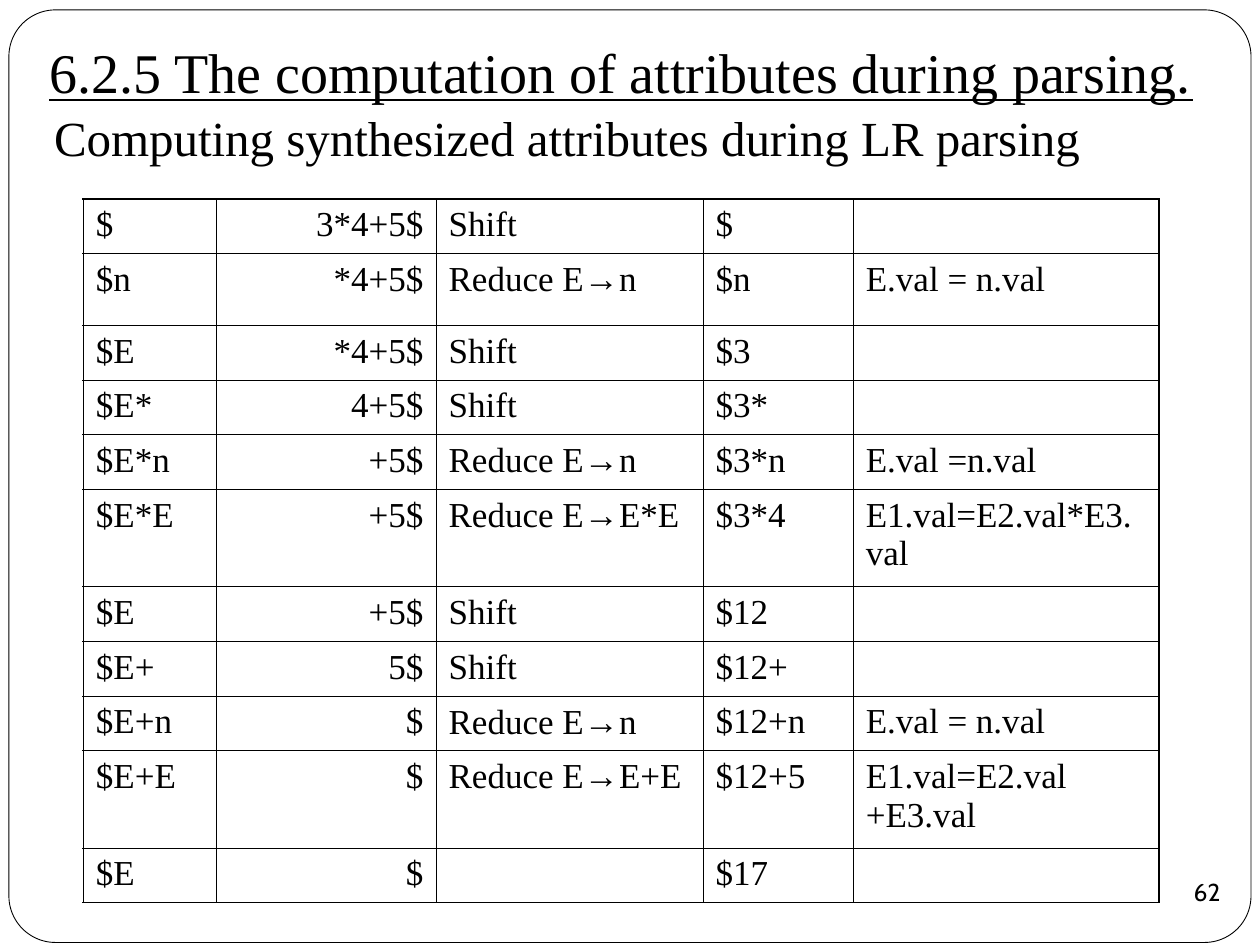
from dataclasses import dataclass

from lxml.etree import SubElement
from pptx import Presentation
from pptx.dml.color import RGBColor as Color
from pptx.enum.shapes import MSO_SHAPE as Shape
from pptx.enum.text import MSO_ANCHOR as Anchor, PP_ALIGN as Align
from pptx.oxml.ns import qn
from pptx.util import Cm, Pt


@dataclass(frozen=True)
class Theme:
    ink: str = "000000"
    paper: str = "FFFFFF"
    serif: str = "Times New Roman"
    symbol: str = "Arial"
    number: str = "Cabin"
    heading_size: int = 32
    title_size: int = 28
    cell_size: int = 20
    number_size: int = 14
    frame_line: float = 0.5
    inner_line: float = 0.45
    outer_line: float = 1.08


class SlideBuilder:
    """Draws styled elements on the current slide."""

    def __init__(self, slide, theme):
        self.slide = slide
        self.theme = theme

    def add_run(self, paragraph, text, size, font, underline=None):
        run = paragraph.add_run()
        run.text = text
        run.font.size = Pt(size)
        run.font.name = font
        run.font.underline = underline
        run.font.color.rgb = Color.from_string(self.theme.ink)

    def frame(self, left, top, width, height, corner):
        shape = self.slide.shapes.add_shape(
            Shape.ROUNDED_RECTANGLE, Cm(left), Cm(top), Cm(width), Cm(height))
        shape.adjustments[0] = corner
        shape.shadow.inherit = False
        shape.fill.solid()
        shape.fill.fore_color.rgb = Color.from_string(self.theme.paper)
        shape.line.color.rgb = Color.from_string(self.theme.ink)
        shape.line.width = Pt(self.theme.frame_line)

    def text(self, left, top, width, height, text, size,
             anchor=Anchor.TOP, bottom=0.13, wrap=True, underline=None):
        box = self.slide.shapes.add_textbox(Cm(left), Cm(top), Cm(width), Cm(height))
        text_frame = box.text_frame
        text_frame.word_wrap = wrap
        text_frame.vertical_anchor = anchor
        text_frame.margin_bottom = Cm(bottom)
        self.add_run(text_frame.paragraphs[0], text, size, self.theme.serif, underline)

    def page_number(self, left, top, diameter, text):
        shape = self.slide.shapes.add_shape(
            Shape.OVAL, Cm(left), Cm(top), Cm(diameter), Cm(diameter))
        shape.shadow.inherit = False
        shape.fill.background()
        shape.line.fill.background()
        text_frame = shape.text_frame
        text_frame.word_wrap = False
        text_frame.vertical_anchor = Anchor.MIDDLE
        text_frame.margin_left = text_frame.margin_right = 0
        text_frame.margin_top = text_frame.margin_bottom = 0
        paragraph = text_frame.paragraphs[0]
        paragraph.alignment = Align.CENTER
        self.add_run(paragraph, text, self.theme.number_size, self.theme.number)

    def borders(self, cell, outer_sides):
        properties = cell._tc.get_or_add_tcPr()
        for side, outer in outer_sides.items():
            width = self.theme.outer_line if outer else self.theme.inner_line
            line = SubElement(properties, qn(f"a:ln{side}"), w=str(Pt(width)))
            fill = SubElement(line, qn("a:solidFill"))
            SubElement(fill, qn("a:srgbClr"), val=self.theme.ink)

    def cell_text(self, cell, text, alignment):
        paragraph = cell.text_frame.paragraphs[0]
        paragraph.alignment = alignment
        before, arrow, after = text.partition("→")
        for part in filter(None, (before, arrow, after)):
            font = self.theme.symbol if part == "→" else self.theme.serif
            self.add_run(paragraph, part, self.theme.cell_size, font)

    def table(self, left, top, widths, heights, rows, alignments):
        table = self.slide.shapes.add_table(
            len(rows), len(widths), Cm(left), Cm(top),
            Cm(sum(widths)), Cm(sum(heights))).table
        table.first_row = table.horz_banding = False
        for column, width in zip(table.columns, widths):
            column.width = Cm(width)
        for row, height in zip(table.rows, heights):
            row.height = Cm(height)
        last_row, last_column = len(rows) - 1, len(widths) - 1
        for i, texts in enumerate(rows):
            for j, text in enumerate(texts):
                cell = table.cell(i, j)
                self.borders(cell, {"L": j == 0, "R": j == last_column,
                                    "T": i == 0, "B": i == last_row})
                cell.fill.background()
                self.cell_text(cell, text, alignments[j])


PARSING_STEPS = [
    ("$", "3*4+5$", "Shift", "$", ""),
    ("$n", "*4+5$", "Reduce E→n", "$n", "E.val = n.val"),
    ("$E", "*4+5$", "Shift", "$3", ""),
    ("$E*", "4+5$", "Shift", "$3*", ""),
    ("$E*n", "+5$", "Reduce E→n", "$3*n", "E.val =n.val"),
    ("$E*E", "+5$", "Reduce E→E*E", "$3*4", "E1.val=E2.val*E3.val"),
    ("$E", "+5$", "Shift", "$12", ""),
    ("$E+", "5$", "Shift", "$12+", ""),
    ("$E+n", "$", "Reduce E→n", "$12+n", "E.val = n.val"),
    ("$E+E", "$", "Reduce E→E+E", "$12+5", "E1.val=E2.val +E3.val"),
    ("$E", "$", "", "$17", ""),
]
COLUMN_WIDTHS = [2.69, 4.42, 5.38, 3.03, 6.17]
ROW_HEIGHT = 1.1
TALL_ROWS = {1: 1.45, 5: 1.96, 9: 1.96}


def main():
    presentation = Presentation()
    presentation.slide_width, presentation.slide_height = Cm(25.4), Cm(19.05)
    slide = presentation.slides.add_slide(presentation.slide_layouts[6])
    theme = Theme()
    builder = SlideBuilder(slide, theme)
    builder.frame(0.18, 0.2, 25.04, 18.8, 0.05)
    builder.text(0.84, 1.9, 24.13, 1.7,
                 "Computing synthesized attributes during LR parsing",
                 theme.title_size, anchor=Anchor.BOTTOM, bottom=0.25)
    heights = [TALL_ROWS.get(i, ROW_HEIGHT) for i in range(len(PARSING_STEPS))]
    alignments = [Align.JUSTIFY, Align.RIGHT] + [Align.JUSTIFY] * 3
    builder.table(1.68, 4.01, COLUMN_WIDTHS, heights, PARSING_STEPS, alignments)
    builder.text(0.74, 0.64, 23.57, 1.63,
                 "6.2.5 The computation of attributes during parsing.",
                 theme.heading_size, wrap=False, underline=True)
    builder.page_number(23.7, 17.35, 1.27, "62")
    presentation.save("out.pptx")


if __name__ == "__main__":
    main()
